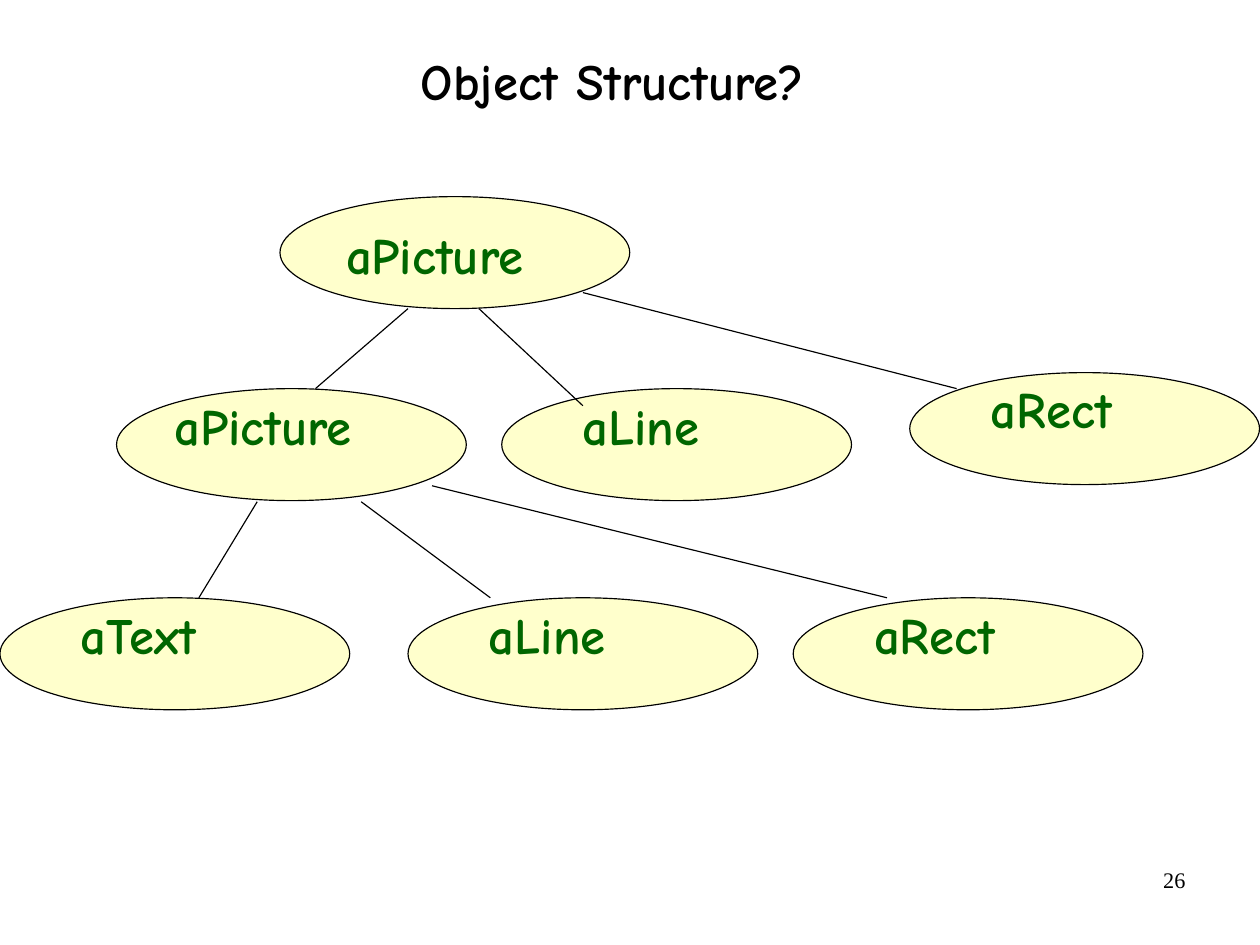
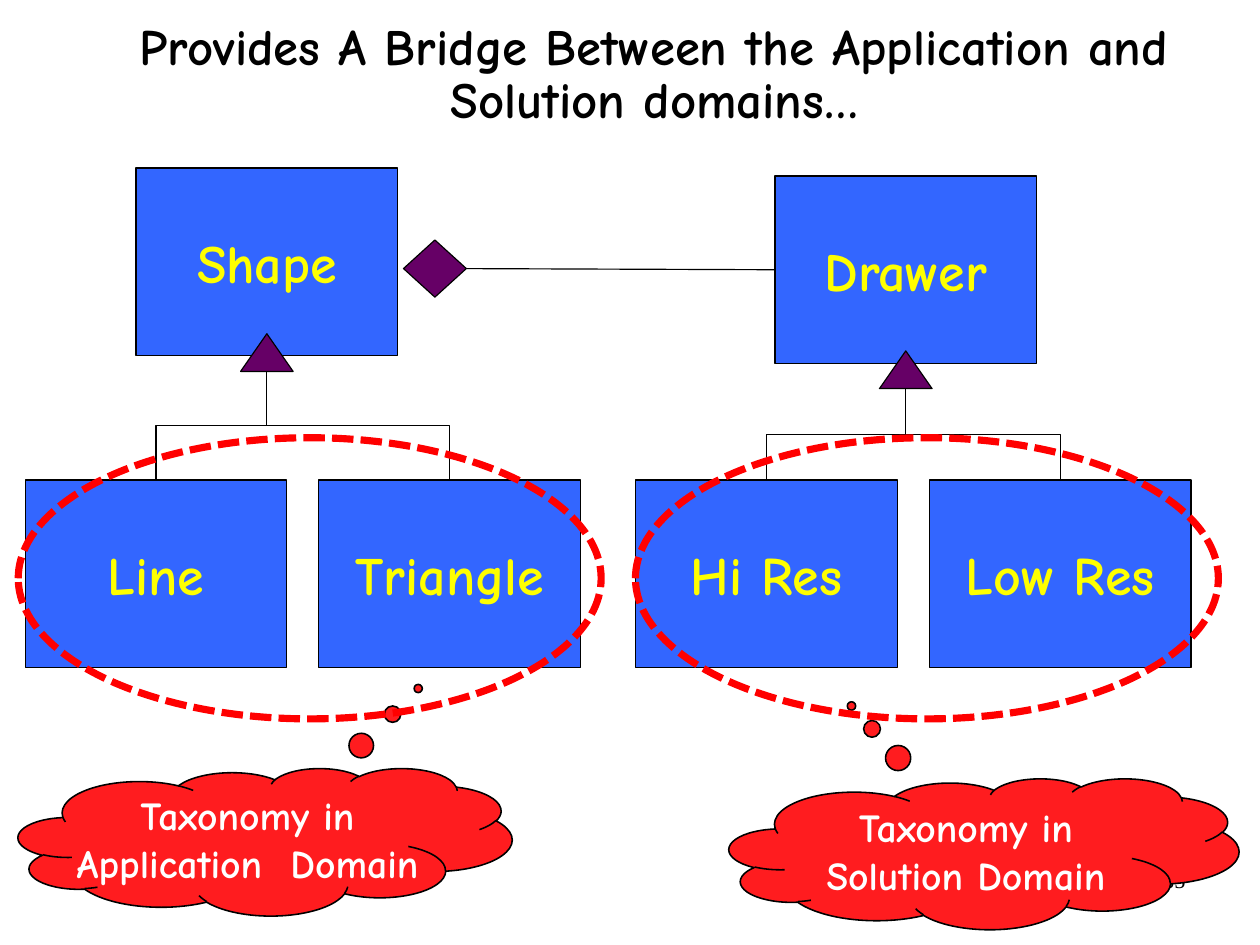
from lxml.etree import SubElement
from pptx import Presentation
from pptx.dml.color import RGBColor
from pptx.enum.dml import MSO_LINE
from pptx.enum.shapes import MSO_CONNECTOR as Connector, MSO_SHAPE as Preset
from pptx.enum.text import MSO_ANCHOR as Anchor, PP_ALIGN as Align
from pptx.oxml.ns import qn
from pptx.util import Cm, Inches, Pt

COLORS = {
    "ink": "000000", "node": "FFFFCC", "node_text": "006600",
    "class": "3366FF", "class_text": "FFFF00", "marker": "660066",
    "cloud": "FF1C1F", "cloud_text": "FFFFFF", "domain": "FF0000",
}
FONT, NUMBER_FONT = "Comic Neue", "Times New Roman"
SLIDE_WIDTH, SLIDE_HEIGHT = Cm(28), Cm(21)

# Object structure: name, node corner, label offset from that corner
NODE_SIZE = (3.06, 0.98)
LABEL_SIZE = (2.04, 0.64)
NODES = [
    ("aPicture", (2.45, 1.72), (0.48, 0.19)),
    ("aPicture", (1.02, 3.4), (0.41, 0)),
    ("aLine", (4.39, 3.4), (0.61, 0)),
    ("aRect", (7.96, 3.26), (0.61, 0)),
    ("aText", (0, 5.23), (0.61, 0)),
    ("aLine", (3.57, 5.23), (0.61, 0)),
    ("aRect", (6.94, 5.23), (0.61, 0)),
]
LINKS = [
    ((3.57, 2.7), (2.76, 3.4)), ((4.19, 2.7), (5.1, 3.55)),
    ((5.1, 2.56), (8.37, 3.4)), ((2.25, 4.39), (1.74, 5.23)),
    ((3.16, 4.39), (4.29, 5.23)), ((3.78, 4.25), (7.76, 5.23)),
]

# Class hierarchies of the two domains
CLASS_SIZE = (2.29, 1.64)
CHILD_TOP, CHILD_STEP = 4.2, 2.57
TRIANGLE_SIZE = (0.46, 0.33)
DIAMOND = (3.53, 2.1, 0.55, 0.5)
DOMAIN_TOP, DOMAIN_SIZE = 3.83, (5.1, 2.46)
HIERARCHIES = [
    {"parent": "Shape", "corner": (1.19, 1.47), "triangle_top": 2.92,
     "children": ("Line", "Triangle"), "children_left": 0.22, "domain_left": 0.16,
     "cloud": (0.16, 6.72, 4.32, 1.29), "tail": (0.31, -1.04),
     "caption": "Taxonomy in\nApplication  Domain"},
    {"parent": "Drawer", "corner": (6.78, 1.54), "triangle_top": 3.07,
     "children": ("Hi Res", "Low Res"), "children_left": 5.56, "domain_left": 5.56,
     "cloud": (6.38, 6.81, 4.46, 1.32), "tail": (-0.26, -0.98),
     "caption": "Taxonomy in\nSolution Domain"},
]


def color(name):
    return RGBColor.from_string(COLORS[name])


def write(shape, text, size, color_name, align, anchor, font=FONT, bold=True,
          spacing=None, wrap=True, margins=(0.1, 0.05)):
    frame = shape.text_frame
    frame.text = text
    frame.word_wrap = wrap
    frame.vertical_anchor = anchor
    frame.margin_left = frame.margin_right = Inches(margins[0])
    frame.margin_top = frame.margin_bottom = Inches(margins[1])
    for paragraph in frame.paragraphs:
        paragraph.alignment = align
        if spacing:
            paragraph.line_spacing = spacing
        for run in paragraph.runs:
            run.font.name, run.font.size, run.font.bold = font, Pt(size), bold
            run.font.color.rgb = color(color_name)


def add_label(slide, box, text, *style, **options):
    write(slide.shapes.add_textbox(*map(Inches, box)), text, *style, **options)


def add_preset(slide, preset, box, fill, line="ink", weight=0.75):
    shape = slide.shapes.add_shape(preset, *map(Inches, box))
    shape.shadow.inherit = False
    if fill:
        shape.fill.solid()
        shape.fill.fore_color.rgb = color(fill)
    else:
        shape.fill.background()
    shape.line.color.rgb = color(line)
    shape.line.width = Pt(weight)
    return shape


def add_line(slide, start, end, kind=Connector.STRAIGHT):
    connector = slide.shapes.add_connector(kind, *map(Inches, (*start, *end)))
    connector.line.color.rgb = color("ink")
    connector.line.width = Pt(0.75)
    SubElement(connector._element.spPr, qn("a:effectLst"))
    return connector


def add_elbow(slide, child, parent):
    """Join a child's top to its parent, leaving both ends vertically.

    An elbow leaves its ends horizontally, so it is laid out on its side
    around the same centre and then turned a quarter.
    """
    (child_x, child_y), (parent_x, parent_y) = child, parent
    middle_x, middle_y = (child_x + parent_x) / 2, (child_y + parent_y) / 2
    half_rise, half_run = (child_y - parent_y) / 2, abs(child_x - parent_x) / 2
    side = 1 if child_x < parent_x else -1
    connector = add_line(slide, (middle_x - side * half_rise, middle_y - half_run),
                         (middle_x + side * half_rise, middle_y + half_run),
                         Connector.ELBOW)
    degrees = 270 if side == 1 else 90
    connector._element.spPr.xfrm.set("rot", str(degrees * 60000))


def add_titled_slide(presentation, title, title_box, number):
    slide = presentation.slides.add_slide(presentation.slide_layouts[5])
    shape = slide.shapes.title
    shape.left, shape.top, shape.width, shape.height = map(Inches, title_box)
    write(shape, title, 32, "ink", Align.CENTER, Anchor.MIDDLE,
          spacing=0.88, margins=(0, 0))
    add_label(slide, (7.9, 7.53, 2.57, 0.57), number, 14, "ink", Align.RIGHT,
              Anchor.TOP, font=NUMBER_FONT, bold=False)
    return slide


def add_class(slide, name, corner):
    box = add_preset(slide, Preset.RECTANGLE, (*corner, *CLASS_SIZE), "class")
    write(box, name, 34, "class_text", Align.CENTER, Anchor.MIDDLE)


def add_hierarchy(slide, hierarchy):
    half_class = CLASS_SIZE[0] / 2
    add_class(slide, hierarchy["parent"], hierarchy["corner"])
    center = hierarchy["corner"][0] + half_class
    top = hierarchy["triangle_top"]
    add_preset(slide, Preset.ISOSCELES_TRIANGLE,
               (center - TRIANGLE_SIZE[0] / 2, top, *TRIANGLE_SIZE), "marker")
    for index, name in enumerate(hierarchy["children"]):
        left = hierarchy["children_left"] + index * CHILD_STEP
        add_class(slide, name, (left, CHILD_TOP))
        add_elbow(slide, (left + half_class, CHILD_TOP), (center, top + TRIANGLE_SIZE[1]))


def add_domain(slide, hierarchy):
    cloud = add_preset(slide, Preset.CLOUD_CALLOUT, hierarchy["cloud"], "cloud", weight=1)
    for index, value in enumerate(hierarchy["tail"]):
        cloud.adjustments[index] = value
    write(cloud, hierarchy["caption"], 25, "cloud_text", Align.CENTER,
          Anchor.MIDDLE, wrap=False)
    outline = add_preset(slide, Preset.OVAL,
                         (hierarchy["domain_left"], DOMAIN_TOP, *DOMAIN_SIZE),
                         None, "domain", 4.5)
    outline.line.dash_style = MSO_LINE.SQUARE_DOT


def build_object_structure(presentation):
    slide = add_titled_slide(presentation, "Object Structure?",
                             (0.66, 0.05, 9.4, 1.37), "26")
    for name, (left, top), (shift_x, shift_y) in NODES:
        add_preset(slide, Preset.OVAL, (left, top, *NODE_SIZE), "node")
        add_label(slide, (left + shift_x, top + shift_y, *LABEL_SIZE), name, 32,
                  "node_text", Align.LEFT, Anchor.TOP)
    for start, end in LINKS:
        add_line(slide, start, end)


def build_bridge(presentation):
    slide = add_titled_slide(
        presentation,
        "Provides A Bridge Between the Application and Solution domains…",
        (0.6, 0.18, 10.25, 0.97), "85")
    for hierarchy in HIERARCHIES:
        add_hierarchy(slide, hierarchy)
    add_preset(slide, Preset.DIAMOND, DIAMOND, "marker")
    left, top, width, height = DIAMOND
    drawer_left, drawer_top = HIERARCHIES[1]["corner"]
    add_line(slide, (left + width, top + height / 2),
             (drawer_left, drawer_top + CLASS_SIZE[1] / 2))
    for hierarchy in HIERARCHIES:
        add_domain(slide, hierarchy)


def main():
    presentation = Presentation()
    presentation.slide_width, presentation.slide_height = SLIDE_WIDTH, SLIDE_HEIGHT
    build_object_structure(presentation)
    build_bridge(presentation)
    presentation.save("out.pptx")


if __name__ == "__main__":
    main()
